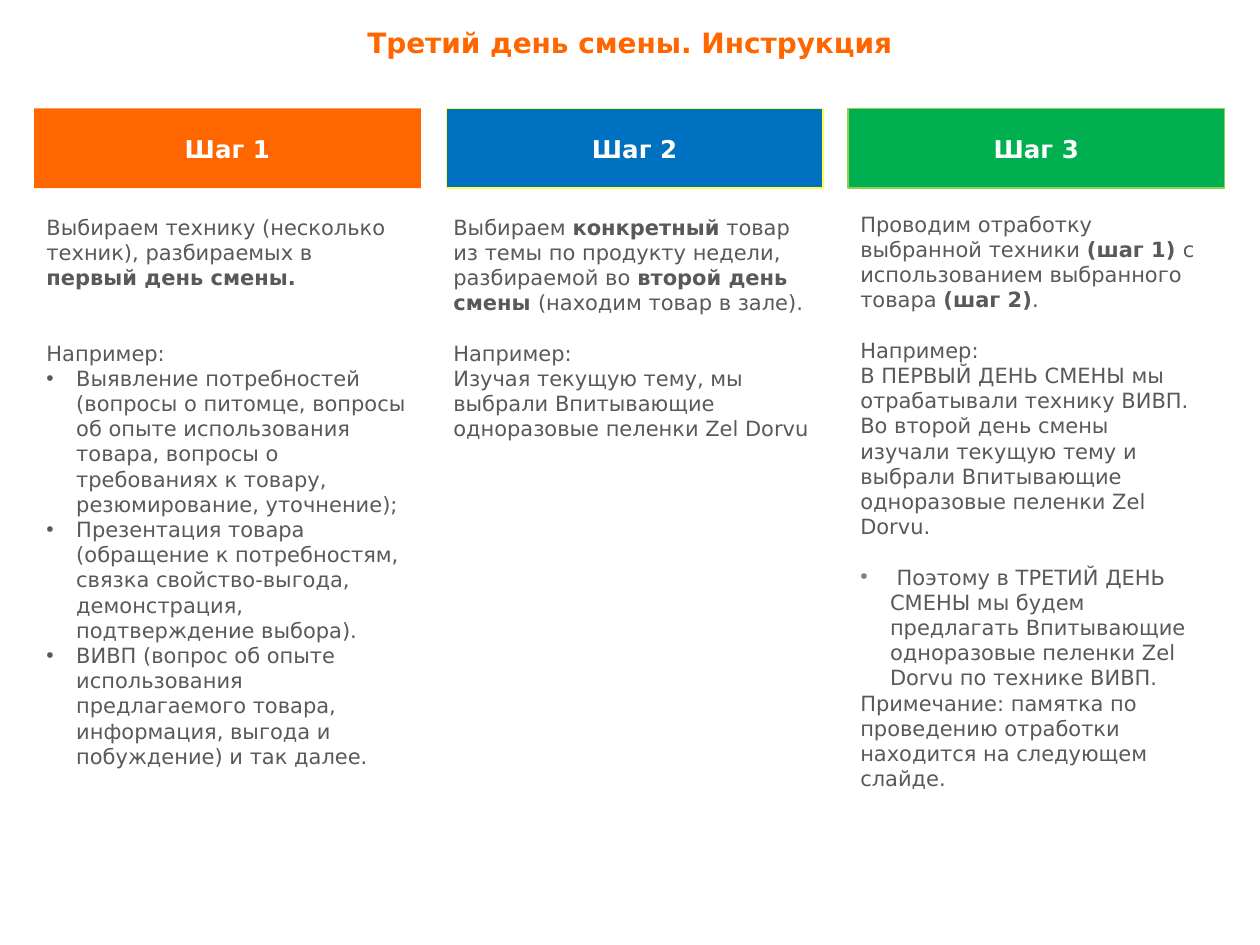
from pptx import Presentation
from pptx.util import Pt
from pptx.dml.color import RGBColor as RGB
from pptx.enum.shapes import MSO_SHAPE as Shape
from pptx.enum.text import PP_ALIGN as Align, MSO_ANCHOR as Anchor
from lxml.etree import SubElement as Sub
from pptx.oxml.ns import qn

FACE = "DejaVu Sans"
GRAY = "595959"
LINE = 14.4

STEPS = [
    ("Шаг 1", "FF6600", None, (19.5, 62, 221, 45.5), (19.5, 118.8, 221, 357), [
        (0, None, "Выбираем технику (несколько техник), разбираемых в *первый день смены.*"),
        (2, None, "Например:"),
        (0, GRAY, "Выявление потребностей (вопросы о питомце, вопросы об опыте использования "
                  "товара, вопросы о требованиях к товару, резюмирование, уточнение);"),
        (0, GRAY, "Презентация товара (обращение к потребностям, связка свойство-выгода, "
                  "демонстрация, подтверждение выбора)."),
        (0, GRAY, "ВИВП (вопрос об опыте использования предлагаемого товара, информация, "
                  "выгода и побуждение) и так далее."),
    ]),
    ("Шаг 2", "0070C0", "FFFF47", (255, 62, 215.3, 45.5), (252, 118.8, 221, 215), [
        (0, None, "Выбираем *конкретный* товар из темы по продукту недели, разбираемой во "
                  "*второй день смены *(находим товар в зале)."),
        (1, None, "Например:"),
        (0, None, "Изучая текущую тему, мы выбрали Впитывающие одноразовые пеленки Zel Dorvu"),
    ]),
    ("Шаг 3", "00B050", "92D050", (484.5, 62, 215.3, 45.5), (484.5, 117.2, 209.5, 357), [
        (0, None, "Проводим отработку выбранной техники *(шаг 1) *с использованием выбранного "
                  "товара *(шаг 2)*."),
        (1, None, "Например:"),
        (0, None, "В ПЕРВЫЙ ДЕНЬ СМЕНЫ мы отрабатывали технику ВИВП. Во второй день смены "
                  "изучали текущую тему и выбрали Впитывающие одноразовые пеленки Zel Dorvu."),
        (1, "808080", " Поэтому в ТРЕТИЙ ДЕНЬ СМЕНЫ мы будем предлагать Впитывающие "
                      "одноразовые пеленки Zel Dorvu по технике ВИВП."),
        (0, None, "Примечание: памятка по проведению отработки находится на следующем слайде."),
    ]),
]


def color(code):
    return RGB.from_string(code)


def style(para, size, code, bold=None):
    font = para.font
    font.name, font.size, font.bold = FACE, Pt(size), bold
    font.color.rgb = color(code)


def bullet(para, code):
    props = para._p.get_or_add_pPr()
    props.set("marL", str(Pt(17)))
    props.set("indent", str(-Pt(17)))
    Sub(Sub(props, qn("a:buClr")), qn("a:srgbClr"), val=code)
    Sub(props, qn("a:buFont"), typeface="Arial")
    Sub(props, qn("a:buChar"), char="•")


def center(frame, text, size, code):
    para = frame.paragraphs[0]
    para.text = text
    para.alignment = Align.CENTER
    style(para, size, code, True)


def title(slide, box, text):
    frame = slide.shapes.add_textbox(*map(Pt, box)).text_frame
    frame.word_wrap = True
    center(frame, text, 16, "FF6600")


def header(slide, box, text, fill, edge):
    shape = slide.shapes.add_shape(Shape.RECTANGLE, *map(Pt, box))
    shape.shadow.inherit = False
    shape.fill.solid()
    shape.fill.fore_color.rgb = color(fill)
    if edge:
        shape.line.color.rgb = color(edge)
        shape.line.width = Pt(0.75)
    else:
        shape.line.fill.background()
    frame = shape.text_frame
    frame.vertical_anchor = Anchor.MIDDLE
    center(frame, text, 14, "FFFFFF")


def body(slide, box, items):
    frame = slide.shapes.add_textbox(*map(Pt, box)).text_frame
    frame.word_wrap = True
    for num, (gap, mark, text) in enumerate(items):
        para = frame.add_paragraph() if num else frame.paragraphs[0]
        if gap:
            para.space_before = Pt(gap * LINE)
        if mark:
            bullet(para, mark)
        style(para, 12, GRAY)
        for part, words in enumerate(text.split("*")):
            if words:
                run = para.add_run()
                run.text = words
                if part % 2:
                    run.font.bold = True


def main():
    deck = Presentation()
    deck.slide_width, deck.slide_height = Pt(720), Pt(540)
    slide = deck.slides.add_slide(deck.slide_layouts[6])
    title(slide, (0, 10.8, 720, 26.6), "Третий день смены. Инструкция")
    for name, fill, edge, top, area, items in STEPS:
        header(slide, top, name, fill, edge)
        body(slide, area, items)
    deck.save("out.pptx")


if __name__ == "__main__":
    main()
